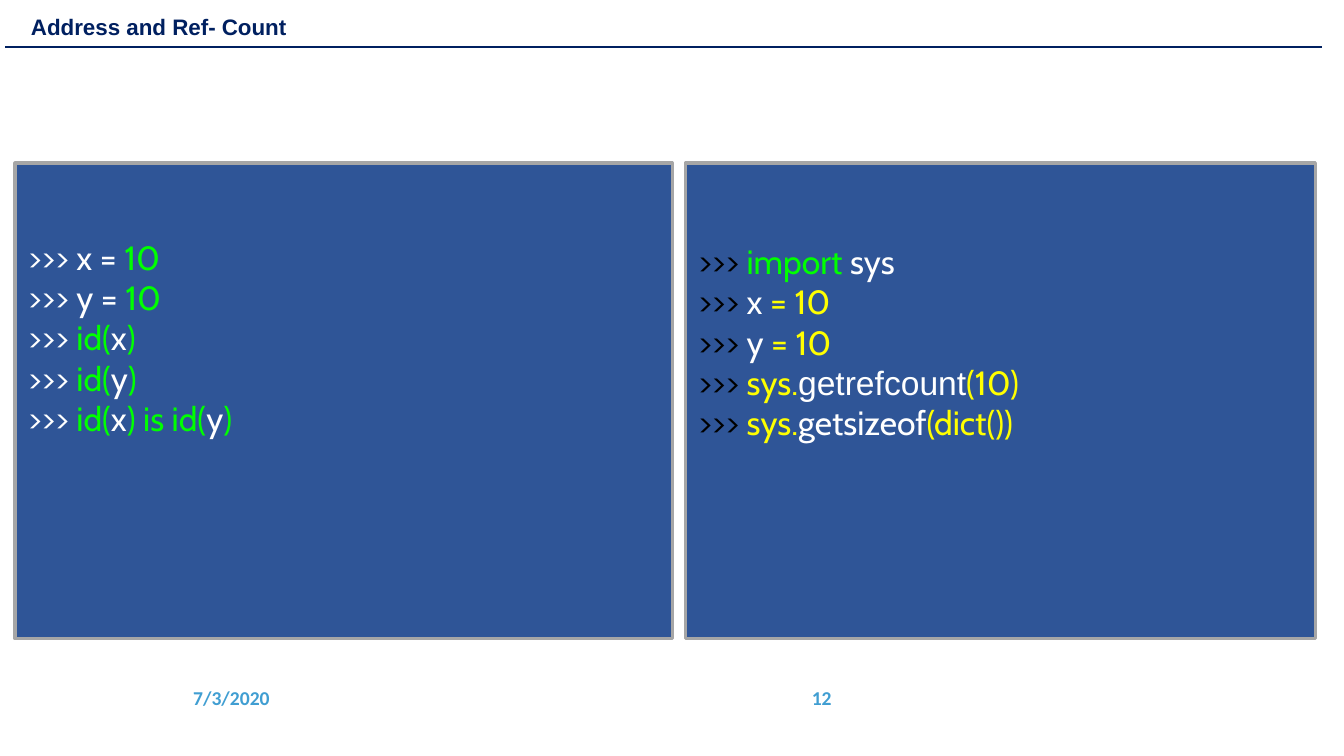
from lxml import etree
from pptx import Presentation
from pptx.dml.color import RGBColor
from pptx.enum.shapes import MSO_CONNECTOR, MSO_SHAPE
from pptx.enum.text import MSO_ANCHOR, PP_ALIGN
from pptx.oxml.ns import qn
from pptx.util import Cm, Pt

RECTANGLE = MSO_SHAPE.RECTANGLE
STRAIGHT = MSO_CONNECTOR.STRAIGHT
MIDDLE, BOTTOM = MSO_ANCHOR.MIDDLE, MSO_ANCHOR.BOTTOM
LEFT, RIGHT = PP_ALIGN.LEFT, PP_ALIGN.RIGHT

COLORS = {
    "white": "FFFFFF",
    "black": "000000",
    "green": "00FF00",
    "yellow": "FFFF00",
    "navy": "002060",
    "panel": "2F5597",
    "border": "A6A6A6",
    "footer": "409ED2",
}


def color(name):
    return RGBColor.from_string(COLORS[name])


def write_text(shape, lines, size=24, font="Cabin", bold=False, align=LEFT,
               anchor=MIDDLE, insets=(0, 0, 0, 0), wrap=True, spacing=None):
    """Fill a shape with lines, each a list of (text, colour[, font]) runs."""
    frame = shape.text_frame
    frame.word_wrap = wrap
    frame.vertical_anchor = anchor
    frame.margin_left, frame.margin_top, frame.margin_right, frame.margin_bottom = (
        Cm(inset) for inset in insets)
    for index, line in enumerate(lines):
        paragraph = frame.add_paragraph() if index else frame.paragraphs[0]
        paragraph.alignment = align
        paragraph.line_spacing = spacing
        for text, color_name, *run_font in line:
            run = paragraph.add_run()
            run.text = text
            run.font.name = run_font[0] if run_font else font
            run.font.size = Pt(size)
            run.font.bold = bold
            run.font.color.rgb = color(color_name)


presentation = Presentation()
presentation.slide_width, presentation.slide_height = Cm(33.87), Cm(19.05)
slide = presentation.slides.add_slide(presentation.slide_layouts[6])
shapes = slide.shapes

# Footer: date and page number
for text, left, width, align in [("7/3/2020", 4.62, 3.51, LEFT), ("12", 13.51, 7.7, RIGHT)]:
    footer = shapes.add_textbox(Cm(left), Cm(17.07), Cm(width), Cm(1.02))
    write_text(footer, [[(text, "footer")]], size=14, font="Calibri", bold=True,
               align=align, insets=(0.25, 0.13, 0.25, 0.13))

# Title and its rule
title = shapes.add_shape(RECTANGLE, Cm(0.38), Cm(0.25), Cm(22.96), Cm(0.89))
title.shadow.inherit = False
title.fill.solid()
title.fill.fore_color.rgb = color("white")
title.line.fill.background()
write_text(title, [[("Address and Ref- Count", "navy")]], size=16, font="Arial", bold=True,
           anchor=BOTTOM, insets=(0.4, 0.13, 0.25, 0.13), spacing=0.9)

rule = shapes.add_connector(STRAIGHT, Cm(0.13), Cm(1.19), Cm(33.32), Cm(1.19))
rule.line.color.rgb = color("navy")
rule.line.width = Pt(1.5)
etree.SubElement(rule._element.spPr, qn("a:effectLst"))

# Code panels; every line starts with the prompt
identity_code = [
    [("x = ", "white"), ("10", "green")],
    [("y = ", "white"), ("10", "green")],
    [("id(", "green"), ("x", "white"), (")", "green")],
    [("id(", "green"), ("y", "white"), (")", "green")],
    [("id(", "green"), ("x", "white"), (") is id(", "green"), ("y", "white"), (")", "green")],
]
count_code = [
    [("import ", "green"), ("sys", "white")],
    [("x", "white"), (" = 10", "yellow")],
    [("y", "white"), (" = 10", "yellow")],
    [("sys.", "yellow"), ("getrefcount", "white", "Arial"), ("(10)", "yellow")],
    [("sys.", "yellow"), ("getsizeof", "white"), ("(dict())", "yellow")],
]
panels = [
    # left, width, code top, code width, wrap, prompt colour, code
    (0.38, 16.56, 5.94, 5.46, False, "white", identity_code),
    (17.27, 15.88, 6.05, 15.54, True, "black", count_code),
]
for left, width, code_top, code_width, wrap, prompt_color, code in panels:
    panel = shapes.add_shape(RECTANGLE, Cm(left), Cm(4.11), Cm(width), Cm(11.99))
    panel.shadow.inherit = False
    panel.fill.solid()
    panel.fill.fore_color.rgb = color("panel")
    panel.line.color.rgb = color("border")
    panel.line.width = Pt(2.25)

    code_box = shapes.add_textbox(Cm(left + 0.33), Cm(code_top), Cm(code_width), Cm(5.13))
    write_text(code_box, [[(">>> ", prompt_color), *line] for line in code], wrap=wrap)

presentation.save("out.pptx")
